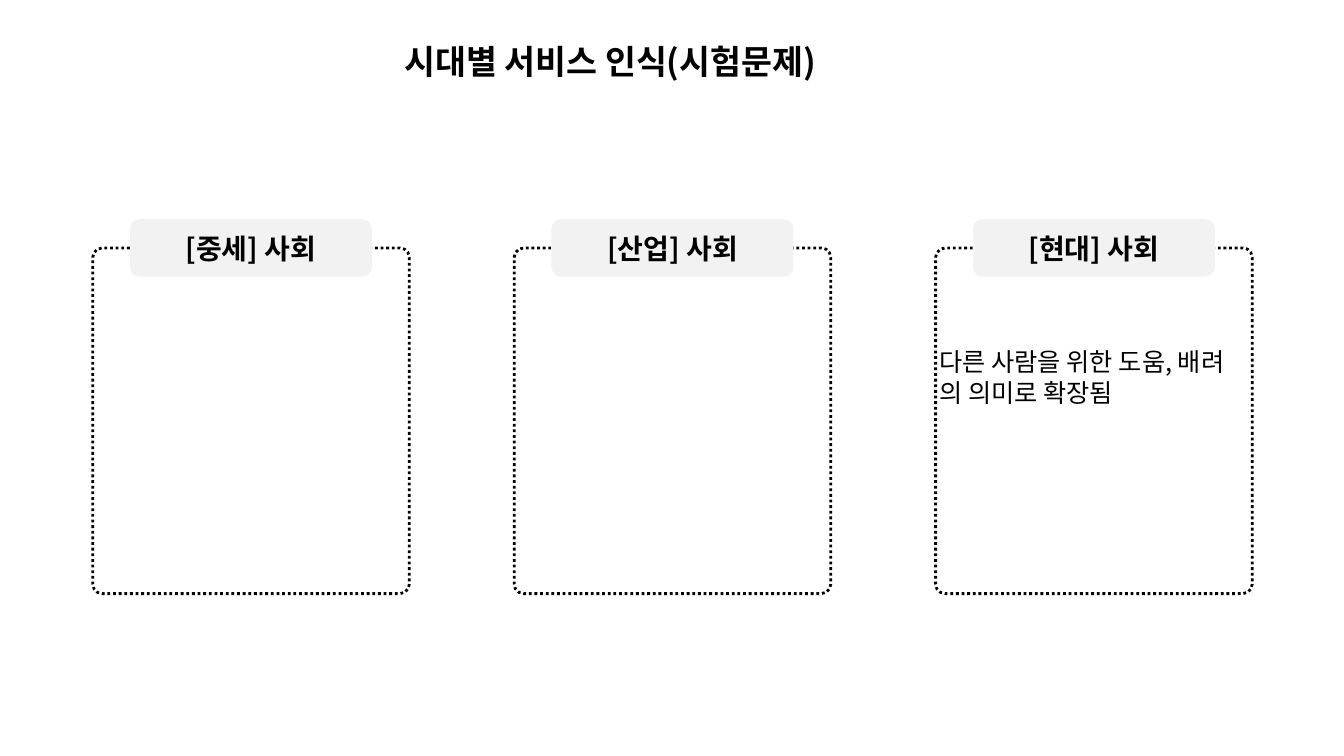
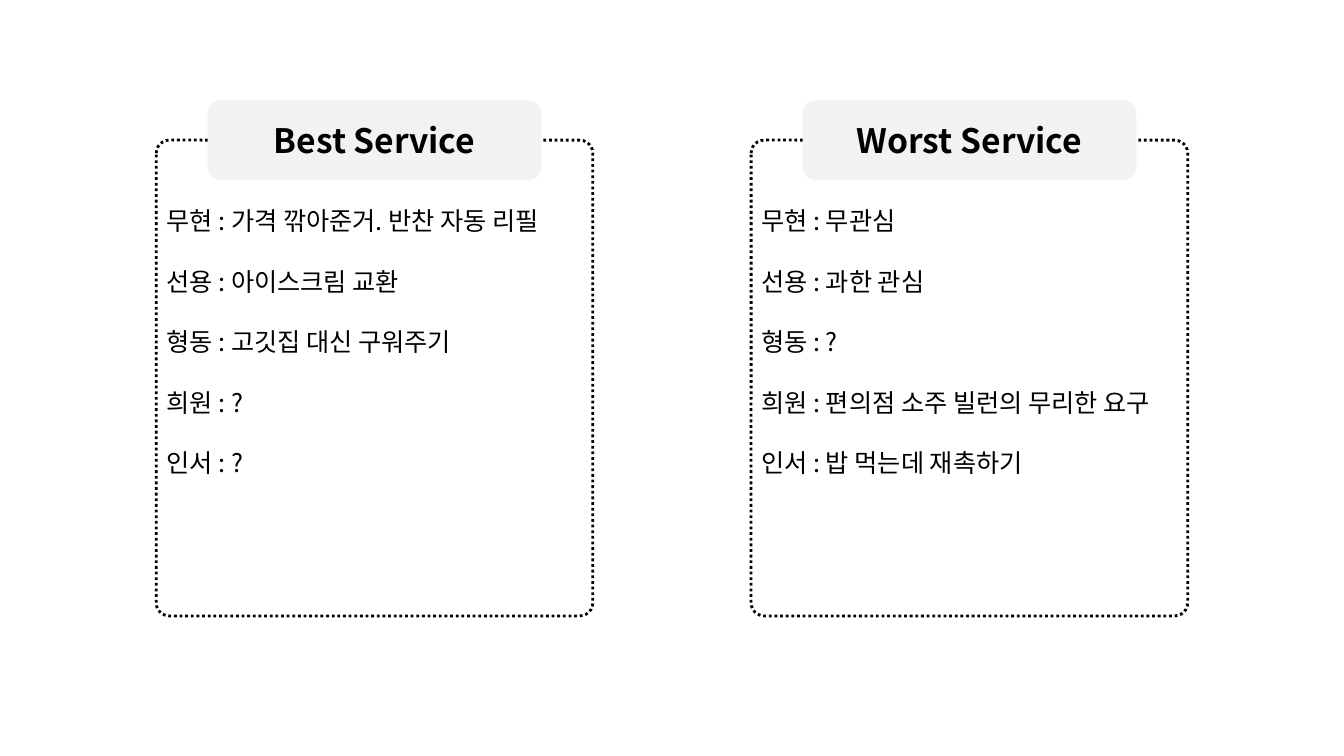
from dataclasses import dataclass

from pptx import Presentation
from pptx.dml.color import RGBColor
from pptx.enum.dml import MSO_LINE
from pptx.enum.shapes import MSO_SHAPE
from pptx.enum.text import MSO_ANCHOR, MSO_AUTO_SIZE, PP_ALIGN
from pptx.oxml.ns import qn
from pptx.util import Inches, Pt

FONT = "Noto Sans CJK KR"
COLORS = {"ink": "000000", "tab": "F2F2F2"}
LINE_RATIO = 1.2
TITLE_ONLY, TWO_CONTENT = 5, 3


@dataclass(frozen=True)
class CardGrid:
    left: float
    top: float
    width: float
    height: float
    pitch: float
    tab_width: float
    tab_height: float
    heading_size: int

    def column_left(self, col: int) -> float:
        return self.left + col * self.pitch


@dataclass(frozen=True)
class Card:
    heading: str
    lines: tuple[str, ...] = ()


ERA_GRID = CardGrid(0.92, 2.46, 3.14, 3.43, 4.18, 2.4, 0.57, 20)
ERAS = (Card("[중세] 사회"), Card("[산업] 사회"), Card("[현대] 사회"))
ERA_NOTE = ("다른 사람을 위한 도움, 배려", "의 의미로 확장됨")

SERVICE_GRID = CardGrid(1.55, 1.39, 4.33, 4.72, 5.9, 3.31, 0.79, 24)
SERVICES = (
    Card("Best Service", (
        "무현 : 가격 깎아준거. 반찬 자동 리필",
        "선용 : 아이스크림 교환",
        "형동 : 고깃집 대신 구워주기",
        "희원 : ?",
        "인서 : ?",
    )),
    Card("Worst Service", (
        "무현 : 무관심",
        "선용 : 과한 관심",
        "형동 : ?",
        "희원 : 편의점 소주 빌런의 무리한 요구",
        "인서 : 밥 먹는데 재촉하기",
    )),
)


def rgb(name: str) -> RGBColor:
    return RGBColor.from_string(COLORS[name])


def apply(target, formats: dict) -> None:
    for name, value in formats.items():
        setattr(target, name, value)


def place(sp, left: float, top: float, width: float, height: float) -> None:
    box = {"left": left, "top": top, "width": width, "height": height}
    apply(sp, {name: Inches(value) for name, value in box.items()})


def write(sp, lines: tuple[str, ...], size: int, bold: bool = False,
          align=PP_ALIGN.LEFT, anchor=MSO_ANCHOR.TOP, gap: float = 0) -> None:
    tf = sp.text_frame
    apply(tf, {"word_wrap": True, "auto_size": MSO_AUTO_SIZE.NONE,
               "vertical_anchor": anchor})
    for i, line in enumerate(lines):
        p = tf.paragraphs[0] if i == 0 else tf.add_paragraph()
        apply(p, {"alignment": align, "line_spacing": Pt(size * LINE_RATIO),
                  "space_before": Pt(gap if i else 0), "space_after": Pt(0)})
        r = p.add_run()
        r.text = line
        apply(r.font, {"name": FONT, "size": Pt(size), "bold": bold})
        r.font.color.rgb = rgb("ink")
        ea = r.font._element.makeelement(qn("a:ea"), {"typeface": FONT})
        r.font._element.find(qn("a:latin")).addnext(ea)


def remove_bullets(sp) -> None:
    for p in sp.text_frame.paragraphs:
        pPr = p._p.get_or_add_pPr()
        apply_indent = {"marL": "0", "indent": "0"}
        for name, value in apply_indent.items():
            pPr.set(name, value)
        pPr.append(pPr.makeelement(qn("a:buNone"), {}))


def add_round_rect(s, left: float, top: float, width: float, height: float):
    sp = s.shapes.add_shape(MSO_SHAPE.ROUNDED_RECTANGLE, Inches(left),
                            Inches(top), Inches(width), Inches(height))
    sp.shadow.inherit = False
    return sp


def add_card(s, grid: CardGrid, col: int, card: Card) -> None:
    left = grid.column_left(col)
    frame = add_round_rect(s, left, grid.top, grid.width, grid.height)
    frame.adjustments[0] = 0.03
    frame.fill.background()
    frame.line.color.rgb = rgb("ink")
    apply(frame.line, {"width": Pt(2), "dash_style": MSO_LINE.ROUND_DOT})

    tab = add_round_rect(s, left + (grid.width - grid.tab_width) / 2,
                         grid.top - grid.tab_height / 2,
                         grid.tab_width, grid.tab_height)
    tab.fill.solid()
    tab.fill.fore_color.rgb = rgb("tab")
    tab.line.fill.background()
    write(tab, (card.heading,), grid.heading_size, True,
          PP_ALIGN.CENTER, MSO_ANCHOR.MIDDLE)


def build_eras(prs) -> None:
    s = prs.slides.add_slide(prs.slide_layouts[TITLE_ONLY])
    place(s.shapes.title, 3.91, 0.36, 4.72, 0.5)
    write(s.shapes.title, ("시대별 서비스 인식(시험문제)",), 24, True)
    for col, card in enumerate(ERAS):
        add_card(s, ERA_GRID, col, card)
    note = s.shapes.add_textbox(0, 0, 0, 0)
    place(note, 9.22, 3.39, 3.39, 0.71)
    write(note, ERA_NOTE, 18)


def build_services(prs) -> None:
    s = prs.slides.add_slide(prs.slide_layouts[TWO_CONTENT])
    title = s.shapes.title._element
    title.getparent().remove(title)
    bodies = list(s.placeholders)
    for col, (card, body) in enumerate(zip(SERVICES, bodies)):
        add_card(s, SERVICE_GRID, col, card)
        place(body, SERVICE_GRID.column_left(col), SERVICE_GRID.top + 0.6,
              SERVICE_GRID.width, 3.13)
        write(body, card.lines, 18, gap=18 * LINE_RATIO)
        remove_bullets(body)


def main() -> None:
    prs = Presentation()
    apply(prs, {"slide_width": Inches(13.33), "slide_height": Inches(7.5)})
    build_eras(prs)
    build_services(prs)
    prs.save("out.pptx")


if __name__ == "__main__":
    main()
